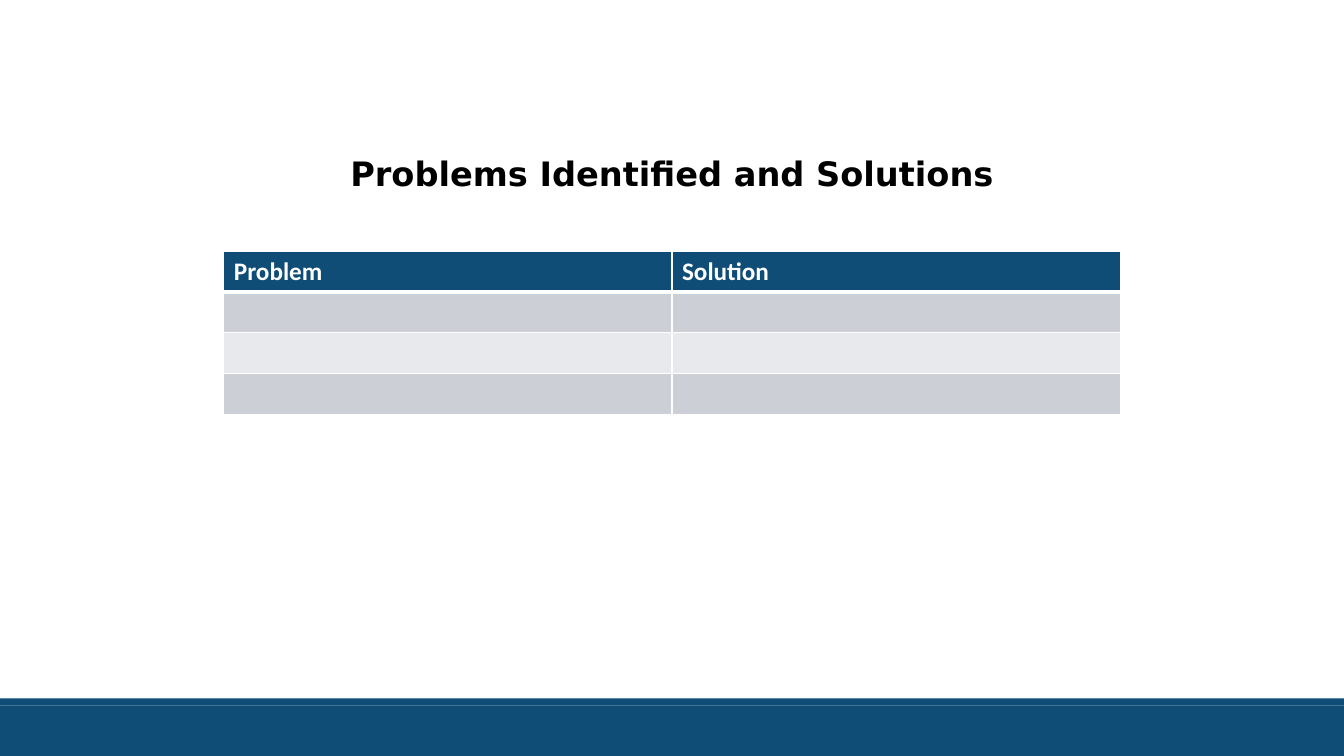
from dataclasses import dataclass

from lxml.etree import SubElement
from pptx import Presentation
from pptx.dml.color import RGBColor
from pptx.enum.shapes import MSO_SHAPE
from pptx.enum.text import PP_ALIGN
from pptx.oxml.ns import qn
from pptx.slide import Slide
from pptx.table import _Cell
from pptx.text.text import TextFrame
from pptx.util import Inches, Pt

NAVY = "0F4C76"
WHITE = "FFFFFF"
BAND_COLORS = ("CCD0D6", "E7E9EC")
HEADINGS = ("Problem", "Solution")
BODY_ROWS = 3
COLUMN_WIDTH = 4.445
ROW_HEIGHT = 0.405


@dataclass(frozen=True)
class Bar:
    top: float
    height: float


FOOTER_BARS = (Bar(7, 0.5), Bar(6.93, 0.07))


def color(value: str) -> RGBColor:
    return RGBColor.from_string(value)


def write_text(frame: TextFrame, text: str, *, size: float, font: str,
               fill: str, align: PP_ALIGN = PP_ALIGN.LEFT) -> None:
    paragraph = frame.paragraphs[0]
    paragraph.alignment = align
    run = paragraph.add_run()
    run.text = text
    run.font.size = Pt(size)
    run.font.name = font
    run.font.bold = True
    run.font.color.rgb = color(fill)


def draw_bar(slide: Slide, bar: Bar) -> None:
    shape = slide.shapes.add_shape(
        MSO_SHAPE.RECTANGLE, 0, Inches(bar.top), Inches(13.33), Inches(bar.height))
    shape.shadow.inherit = False
    shape.fill.solid()
    shape.fill.fore_color.rgb = color(NAVY)
    shape.line.fill.background()


def format_cell(cell: _Cell, row: int) -> None:
    properties = cell._tc.get_or_add_tcPr()
    widths = {"L": 1, "R": 1, "T": 3 if row == 1 else 1, "B": 3 if row == 0 else 1}
    for side, width in widths.items():
        border = SubElement(properties, qn(f"a:ln{side}"), w=str(Pt(width)))
        SubElement(SubElement(border, qn("a:solidFill")), qn("a:srgbClr"), val=WHITE)
    cell.fill.solid()
    cell.fill.fore_color.rgb = color(NAVY if row == 0 else BAND_COLORS[(row - 1) % 2])


def draw_table(slide: Slide) -> None:
    row_count, column_count = BODY_ROWS + 1, len(HEADINGS)
    table = slide.shapes.add_table(
        row_count, column_count, Inches(2.22), Inches(2.49),
        Inches(COLUMN_WIDTH * column_count), Inches(ROW_HEIGHT * row_count)).table
    for row in range(row_count):
        for column in range(column_count):
            format_cell(table.cell(row, column), row)
    for column, heading in enumerate(HEADINGS):
        write_text(table.cell(0, column).text_frame, heading,
                   size=18, font="Calibri", fill=WHITE)


def draw_title(slide: Slide) -> None:
    frame = slide.shapes.add_textbox(
        Inches(0.46), Inches(1.47), Inches(12.41), Inches(0.91)).text_frame
    frame.word_wrap = True
    write_text(frame, "Problems Identified and Solutions", size=24,
               font="DejaVu Sans", fill="000000", align=PP_ALIGN.CENTER)


def main() -> None:
    presentation = Presentation()
    presentation.slide_width = Inches(13.33)
    presentation.slide_height = Inches(7.5)
    slide = presentation.slides.add_slide(presentation.slide_layouts[6])
    for bar in FOOTER_BARS:
        draw_bar(slide, bar)
    draw_title(slide)
    draw_table(slide)
    presentation.save("out.pptx")


if __name__ == "__main__":
    main()
